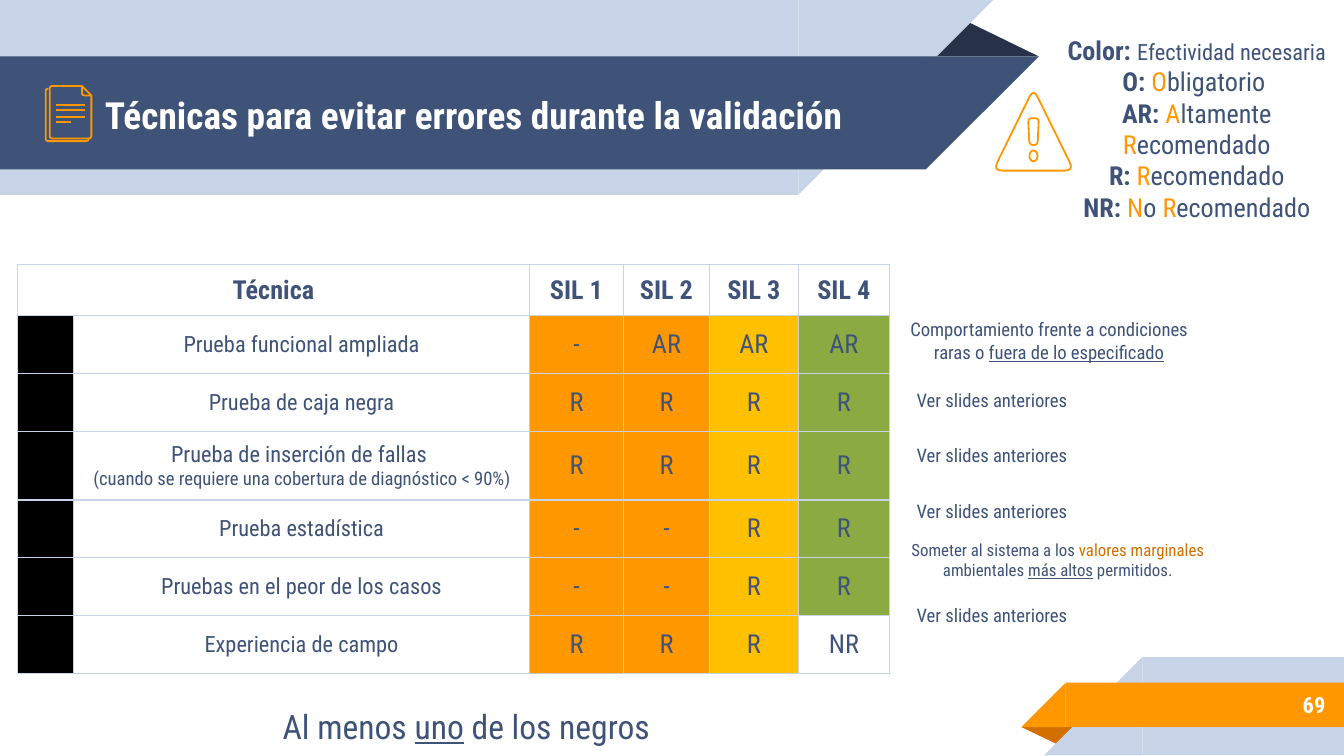
from dataclasses import dataclass
from math import cos, dist, pi, sin
from typing import NamedTuple, Optional

from lxml.etree import SubElement
from pptx import Presentation
from pptx.dml.color import RGBColor
from pptx.enum.shapes import MSO_CONNECTOR, MSO_SHAPE
from pptx.enum.text import MSO_ANCHOR, MSO_AUTO_SIZE, PP_ALIGN
from pptx.oxml.ns import qn
from pptx.util import Inches, Pt

FONT = "Roboto Condensed"
COLORS = {
    "navy": "3F5378", "ink": "263248", "pale": "C7D3E6", "orange": "FF9800",
    "rust": "D26F00", "yellow": "FFC000", "green": "8BAB42", "black": "000000",
    "white": "FFFFFF", "gray": "CCCCCC",
}


class Band(NamedTuple):
    kind: MSO_SHAPE
    box: tuple
    color: str
    flip: str = ""
    rotation: int = 0


class Run(NamedTuple):
    text: str
    color: str = "navy"
    bold: Optional[bool] = None
    underline: Optional[bool] = None
    size: Optional[float] = None


@dataclass
class Note:
    box: tuple
    size: float
    paragraphs: list
    color: str = "navy"
    bold: bool = False
    align: PP_ALIGN = PP_ALIGN.CENTER
    bottom_inset: float = 0.1


RECT, CORNER, FOLD = MSO_SHAPE.RECTANGLE, MSO_SHAPE.RIGHT_TRIANGLE, MSO_SHAPE.ISOSCELES_TRIANGLE
BANDS = [
    Band(FOLD, (6.88, 0.14, 0.85, 0.28), "ink"),
    Band(RECT, (0, 0, 5.94, 1.45), "pale"),
    Band(CORNER, (5.94, 0, 1.45, 1.45), "pale", flip="flipV"),
    Band(RECT, (0, 0.42, 6.89, 0.84), "navy"),
    Band(CORNER, (6.89, 0.42, 0.84, 0.84), "navy", flip="flipV"),
    Band(FOLD, (7.6, 5.41, 0.43, 0.14), "rust", rotation=180),
    Band(RECT, (8.5, 4.89, 1.5, 0.73), "pale"),
    Band(CORNER, (7.77, 4.89, 0.73, 0.73), "pale", flip="flipH"),
    Band(RECT, (7.93, 5.08, 2.07, 0.33), "orange"),
    Band(CORNER, (7.6, 5.08, 0.33, 0.33), "orange", flip="flipH"),
]

LINE_BREAK = Run("\n")
LEGEND = [
    [Run("Color: ", bold=True), Run("Efectividad necesaria", size=12), LINE_BREAK,
     Run("O: ", bold=True), Run("O", "orange"), Run("bligatorio "), LINE_BREAK,
     Run("AR: ", bold=True), Run("A", "orange"), Run("ltamente "),
     Run("R", "orange"), Run("ecomendado")],
    [Run("R: ", bold=True), Run("R", "orange"), Run("ecomendado")],
    [Run("NR: ", bold=True), Run("N", "orange"), Run("o "), Run("R", "orange"), Run("ecomendado")],
]
NOTES = [
    Note((8.33, 5.07, 1.63, 0.35), 12, [[Run("69", "white")]], "white", True, PP_ALIGN.RIGHT),
    Note((7.81, 0.43, 2.19, 1.27), 14, LEGEND, bottom_inset=0.32),
    Note((6.62, 2.25, 2.37, 0.57), 10,
         [[Run("Comportamiento frente a condiciones raras o "),
           Run("fuera de lo especificado", underline=True)]]),
    Note((6.62, 3.94, 2.5, 0.45), 9,
         [[Run("Someter al sistema a los "), Run("valores marginales ", "rust"),
           Run("ambientales "), Run("más altos", underline=True), Run(" permitidos.")]]),
    Note((1.23, 5.18, 4.48, 0.45), 18,
         [[Run("Al menos "), Run("uno", underline=True), Run(" de los negros")]]),
]
NOTES += [Note((left, top, width, height), 10, [[Run("Ver slides anteriores")]])
          for left, top, width, height in ((6.62, 2.75, 1.52, 0.45), (6.59, 3.16, 1.58, 0.45),
                                           (6.62, 3.58, 1.52, 0.45), (6.62, 4.4, 1.52, 0.35))]

COLUMN_WIDTHS = (0.42, 3.39, 0.7, 0.64, 0.66, 0.68)
ROW_HEIGHTS = (0.38, 0.43, 0.43, 0.51, 0.43, 0.43, 0.43)
LEVEL_COLORS = ("orange", "orange", "yellow", "green")
GRAY_EDGES = {0: "R", 1: "LR", 2: "LRB", 3: "L"}
HEADER = ("Técnica", "", "SIL 1", "SIL 2", "SIL 3", "SIL 4")
TECHNIQUES = [
    ("", "Prueba funcional ampliada", "-", "AR", "AR", "AR"),
    ("", "Prueba de caja negra", "R", "R", "R", "R"),
    ("", "Prueba de inserción de fallas \n(cuando se requiere una cobertura de diagnóstico < 90%)",
     "R", "R", "R", "R"),
    ("", "Prueba estadística", "-", "-", "R", "R"),
    ("", "Pruebas en el peor de los casos", "-", "-", "R", "R"),
    ("", "Experiencia de campo", "R", "R", "R", "NR"),
]


def rgb(color: str) -> RGBColor:
    return RGBColor.from_string(COLORS[color])


def set_font(font, size: float, color: str = "navy", bold: bool = False) -> None:
    font.name, font.size, font.bold = FONT, Pt(size), bold
    font.color.rgb = rgb(color)


def draw_band(shapes, band: Band) -> None:
    shape = shapes.add_shape(band.kind, *map(Inches, band.box))
    shape.shadow.inherit = False
    shape.fill.solid()
    shape.fill.fore_color.rgb = rgb(band.color)
    shape.line.fill.background()
    shape.rotation = band.rotation
    if band.kind == FOLD:
        shape.adjustments[0] = 0.324
    if band.flip:
        shape._element.spPr.xfrm.set(band.flip, "1")


def draw_note(shapes, note: Note) -> None:
    frame = shapes.add_textbox(*map(Inches, note.box)).text_frame
    frame.word_wrap, frame.vertical_anchor = True, MSO_ANCHOR.MIDDLE
    frame.margin_left = frame.margin_right = frame.margin_top = Inches(0.1)
    frame.margin_bottom = Inches(note.bottom_inset)
    for index, runs in enumerate(note.paragraphs):
        paragraph = frame.add_paragraph() if index else frame.paragraphs[0]
        paragraph.alignment = note.align
        set_font(paragraph.font, note.size, note.color, note.bold)
        for part in runs:
            if part is LINE_BREAK:
                paragraph.add_line_break()
                continue
            run = paragraph.add_run()
            run.text = part.text
            set_font(run.font, part.size or note.size, part.color, part.bold or note.bold)
            run.font.underline = part.underline


def rounded(corners: list) -> list:
    """Turn (x, y, radius) corners into points, bending each one as a quadratic curve."""
    points = []
    for i, (x, y, radius) in enumerate(corners):
        if not radius:
            points.append((x, y))
            continue
        ends = []
        for nx, ny, _ in (corners[i - 1], corners[(i + 1) % len(corners)]):
            share = min(1, radius / dist((x, y), (nx, ny)))
            ends.append((x + (nx - x) * share, y + (ny - y) * share))
        for t in (0, 0.25, 0.5, 0.75, 1):
            points.append(tuple((1 - t) ** 2 * a + 2 * t * (1 - t) * c + t * t * b
                                for a, c, b in zip(ends[0], (x, y), ends[1])))
    return points


def draw_outline(shapes, *contours: list, close: bool = True) -> None:
    builder = None
    for contour in contours:
        start, *rest = [(Inches(x), Inches(y)) for x, y in contour]
        if builder is None:
            builder = shapes.build_freeform(*start)
        else:
            builder.move_to(*start)
        builder.add_line_segments(rest, close=close)
    outline = builder.convert_to_shape()
    outline.shadow.inherit = False
    outline.fill.background()
    outline.line.color.rgb, outline.line.width = rgb("orange"), Pt(0.96)


def draw_document_icon(shapes) -> None:
    draw_outline(shapes, rounded([(0.66, 1.03, 0), (0.66, 1.05, 0.02), (0.34, 1.05, 0.02),
                                  (0.34, 0.66, 0.02), (0.36, 0.66, 0)]), close=False)
    draw_outline(shapes, rounded([(0.68, 0.71, 0), (0.68, 1.03, 0.02), (0.37, 1.03, 0.02),
                                  (0.37, 0.64, 0.02), (0.61, 0.64, 0)]), close=False)
    for y, right in ((0.91, 0.53), (0.87, 0.63), (0.82, 0.63), (0.78, 0.63)):
        rule = shapes.add_connector(MSO_CONNECTOR.STRAIGHT, *map(Inches, (right, y, 0.42, y)))
        rule.line.color.rgb, rule.line.width = rgb("orange"), Pt(0.96)
        SubElement(rule._element.spPr, qn("a:effectLst"))
    draw_outline(shapes, rounded([(0.61, 0.64, 0), (0.68, 0.71, 0), (0.61, 0.71, 0.02)]))


def draw_warning_icon(shapes) -> None:
    sign = rounded([(7.69, 0.66, 0.07), (7.99, 1.27, 0.07), (7.39, 1.27, 0.07)])
    dot = [(7.69 + 0.03 * cos(k * pi / 12), 1.16 + 0.04 * sin(k * pi / 12)) for k in range(24)]
    stroke = rounded([(7.65, 0.88, 0.03), (7.73, 0.88, 0.03), (7.72, 1.08, 0.03), (7.66, 1.08, 0.03)])
    draw_outline(shapes, sign, dot, stroke)


def set_borders(cell, gray_edges: str) -> None:
    for edge in "LRTB":
        line = SubElement(cell._tc.get_or_add_tcPr(), qn(f"a:ln{edge}"), w=str(Pt(0.75)))
        fill = SubElement(line, qn("a:solidFill"))
        SubElement(fill, qn("a:srgbClr"), val=COLORS["gray" if edge in gray_edges else "pale"])


def cell_color(row: int, column: int, text: str) -> Optional[str]:
    if row == 0 or column == 1:
        return None
    if column == 0:
        return "black"
    return "white" if text == "NR" else LEVEL_COLORS[column - 2]


def draw_table(shapes) -> None:
    rows = [HEADER, *TECHNIQUES]
    table = shapes.add_table(len(rows), len(HEADER), Inches(0.13), Inches(1.97),
                             Inches(sum(COLUMN_WIDTHS)), Inches(sum(ROW_HEIGHTS))).table
    table.first_row = table.horz_banding = False
    for column, width in zip(table.columns, COLUMN_WIDTHS):
        column.width = Inches(width)
    for table_row, height in zip(table.rows, ROW_HEIGHTS):
        table_row.height = Inches(height)
    for r, texts in enumerate(rows):
        for c, text in enumerate(texts):
            cell = table.cell(r, c)
            cell.text = text
            cell.vertical_anchor = MSO_ANCHOR.MIDDLE
            cell.margin_left = cell.margin_right = Inches(0.1)
            cell.margin_top = cell.margin_bottom = Inches(0.07)
            for index, paragraph in enumerate(cell.text_frame.paragraphs):
                paragraph.alignment = PP_ALIGN.CENTER
                size = 10 if index else 12 if r and c == 1 else 14
                set_font(paragraph.font, size, bold=r == 0)
            set_borders(cell, GRAY_EDGES.get(c, "") if r else "")
            color = cell_color(r, c, text)
            if color:
                cell.fill.solid()
                cell.fill.fore_color.rgb = rgb(color)
            else:
                cell.fill.background()
    table.cell(0, 0).merge(table.cell(0, 1))


def place_title(slide) -> None:
    title = slide.shapes.title
    title.left, title.top, title.width, title.height = map(Inches, (0.68, 0.43, 6.43, 0.84))
    frame = title.text_frame
    frame.text = "Técnicas para evitar errores durante la validación"
    frame.word_wrap, frame.auto_size = True, MSO_AUTO_SIZE.NONE
    frame.vertical_anchor = MSO_ANCHOR.MIDDLE
    frame.margin_left = frame.margin_right = frame.margin_top = frame.margin_bottom = Inches(0.1)
    frame.paragraphs[0].alignment = PP_ALIGN.LEFT
    set_font(frame.paragraphs[0].font, 20, "white", True)
    slide.shapes._spTree.append(title._element)  # in front of the bands


def main() -> None:
    deck = Presentation()
    deck.slide_width, deck.slide_height = Inches(10), Inches(10) * 9 // 16
    slide = deck.slides.add_slide(deck.slide_layouts[5])
    for band in BANDS:
        draw_band(slide.shapes, band)
    place_title(slide)
    draw_document_icon(slide.shapes)
    draw_warning_icon(slide.shapes)
    draw_table(slide.shapes)
    for note in NOTES:
        draw_note(slide.shapes, note)
    deck.save("out.pptx")


if __name__ == "__main__":
    main()
